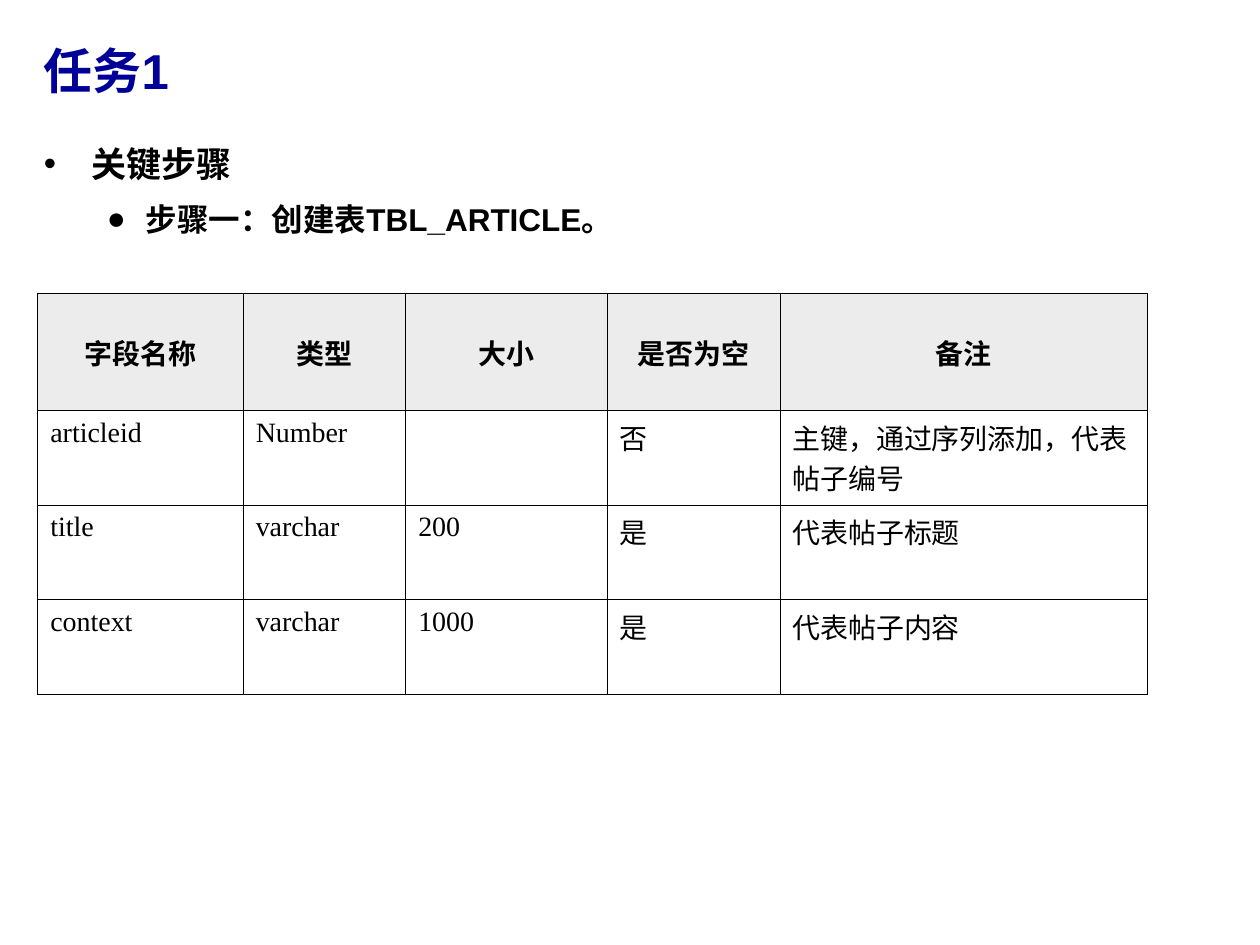
from dataclasses import dataclass

from lxml import etree
from pptx import Presentation
from pptx.dml.color import RGBColor
from pptx.enum.text import MSO_ANCHOR, PP_ALIGN
from pptx.oxml.ns import qn
from pptx.util import Inches, Pt

MIDDLE, TOP = MSO_ANCHOR.MIDDLE, MSO_ANCHOR.TOP
CENTER, LEFT = PP_ALIGN.CENTER, PP_ALIGN.LEFT
BLACK, NAVY, GRAY = "000000", "000099", "E5E5E5"
COLUMN_WIDTHS = (1.63, 1.29, 1.6, 1.37, 2.92)
ROW_HEIGHTS = (0.93, 0.75, 0.75, 0.75)
FIELD_ROWS = (
    ("字段名称", "类型", "大小", "是否为空", "备注"),
    ("articleid", "Number", "", "否", "主键，通过序列添加，代表帖子编号"),
    ("title", "varchar", "200", "是", "代表帖子标题"),
    ("context", "varchar", "1000", "是", "代表帖子内容"),
)


@dataclass
class Line:
    """One paragraph of a text box, with its optional bullet."""
    text: str
    size: float
    color: str = BLACK
    bullet: str = ""
    level: int = 0
    margin: float = 0
    hanging: float = 0
    space_before: float = 0


TITLE = [Line("任务1", 28, NAVY)]
STEPS = [
    Line("关键步骤", 20, bullet="•", margin=0.38, hanging=0.38),
    Line("步骤一：创建表TBL_ARTICLE。", 18, bullet="●", level=1,
         margin=0.81, hanging=0.31, space_before=9),
]


def rgb(value: str) -> RGBColor:
    """Turn a hex string into a colour."""
    return RGBColor.from_string(value)


def add_run(paragraph, text: str, color: str, **formats) -> None:
    """Add a run whose font takes the given formats."""
    run = paragraph.add_run()
    run.text = text
    run.font.color.rgb = rgb(color)
    for name, value in formats.items():
        setattr(run.font, name, value)


def add_bullet(paragraph, line: Line) -> None:
    """Give a paragraph a hanging bullet."""
    properties = paragraph._p.get_or_add_pPr()
    properties.set("marL", str(Inches(line.margin)))
    properties.set("indent", str(-Inches(line.hanging)))
    color = etree.SubElement(properties, qn("a:buClr"))
    etree.SubElement(color, qn("a:srgbClr"), val=BLACK)
    etree.SubElement(properties, qn("a:buFont"), typeface="Arial")
    etree.SubElement(properties, qn("a:buChar"), char=line.bullet)


def add_text(slide, left: float, top: float, width: float, height: float,
             lines: list[Line], anchor: MSO_ANCHOR) -> None:
    """Add a wrapped text box holding the given lines."""
    box = slide.shapes.add_textbox(
        Inches(left), Inches(top), Inches(width), Inches(height))
    frame = box.text_frame
    frame.word_wrap = True
    frame.vertical_anchor = anchor
    for index, line in enumerate(lines):
        paragraph = frame.add_paragraph() if index else frame.paragraphs[0]
        paragraph.level = line.level
        if line.bullet:
            add_bullet(paragraph, line)
        if line.space_before:
            paragraph.space_before = Pt(line.space_before)
        add_run(paragraph, line.text, line.color,
                name="Arial", size=Pt(line.size), bold=True)


def add_borders(cell) -> None:
    """Draw thin black lines on all four sides of a cell."""
    properties = cell._tc.get_or_add_tcPr()
    for index, side in enumerate(("a:lnL", "a:lnR", "a:lnT", "a:lnB")):
        border = etree.Element(qn(side), w=str(Pt(0.45)))
        fill = etree.SubElement(border, qn("a:solidFill"))
        etree.SubElement(fill, qn("a:srgbClr"), val=BLACK)
        properties.insert(index, border)


def fill_cell(cell, text: str, header: bool) -> None:
    """Write and style one table cell."""
    formats = {
        "margin_left": Inches(0.1), "margin_right": Inches(0.1),
        "margin_top": Inches(0.05), "margin_bottom": Inches(0.05),
        "vertical_anchor": MIDDLE if header else TOP,
    }
    for name, value in formats.items():
        setattr(cell, name, value)
    if header:
        cell.fill.solid()
        cell.fill.fore_color.rgb = rgb(GRAY)
        color = cell._tc.tcPr.find(f"{qn('a:solidFill')}/{qn('a:srgbClr')}")
        etree.SubElement(color, qn("a:alpha"), val="70000")
    else:
        cell.fill.background()
    add_borders(cell)
    if text:
        paragraph = cell.text_frame.paragraphs[0]
        paragraph.alignment = CENTER if header else LEFT
        add_run(paragraph, text, BLACK,
                name="Times New Roman", size=Pt(16), bold=header)


def add_field_table(slide) -> None:
    """Add the table of database fields."""
    table = slide.shapes.add_table(
        len(ROW_HEIGHTS), len(COLUMN_WIDTHS), Inches(0.3), Inches(2.33),
        Inches(sum(COLUMN_WIDTHS)), Inches(sum(ROW_HEIGHTS))).table
    table.horz_banding = False
    for column, width in zip(table.columns, COLUMN_WIDTHS):
        column.width = Inches(width)
    for index, (row, height) in enumerate(zip(table.rows, ROW_HEIGHTS)):
        row.height = Inches(height)
        for cell, text in zip(row.cells, FIELD_ROWS[index]):
            fill_cell(cell, text, header=index == 0)


def main() -> None:
    """Build and save the slide."""
    presentation = Presentation()
    presentation.slide_width = Inches(10)
    presentation.slide_height = Inches(7.5)
    slide = presentation.slides.add_slide(presentation.slide_layouts[6])
    add_text(slide, 0.25, 0.22, 9, 0.67, TITLE, MIDDLE)
    add_text(slide, 0.25, 1.08, 8.37, 1.32, STEPS, TOP)
    add_field_table(slide)
    presentation.save("out.pptx")


if __name__ == "__main__":
    main()
